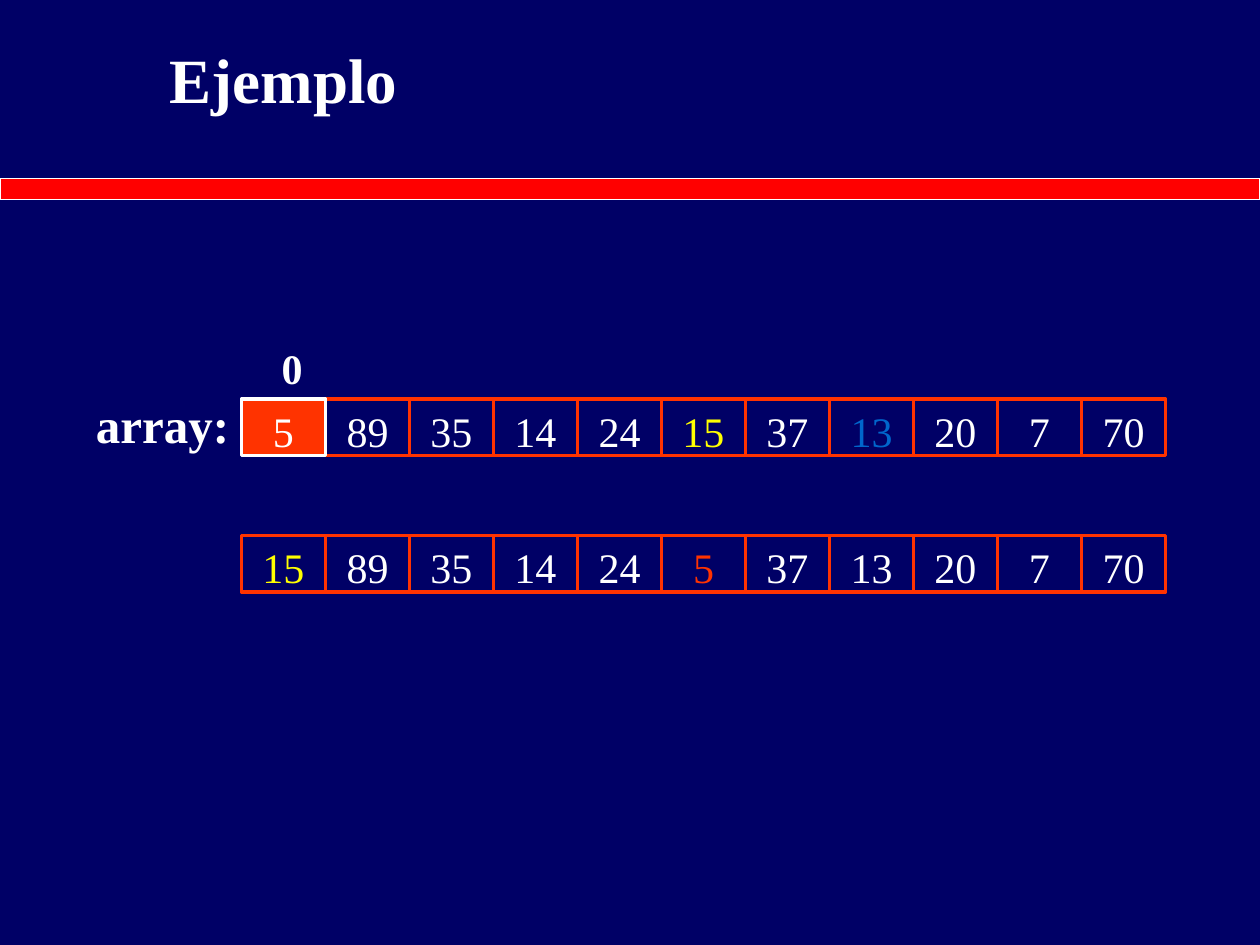
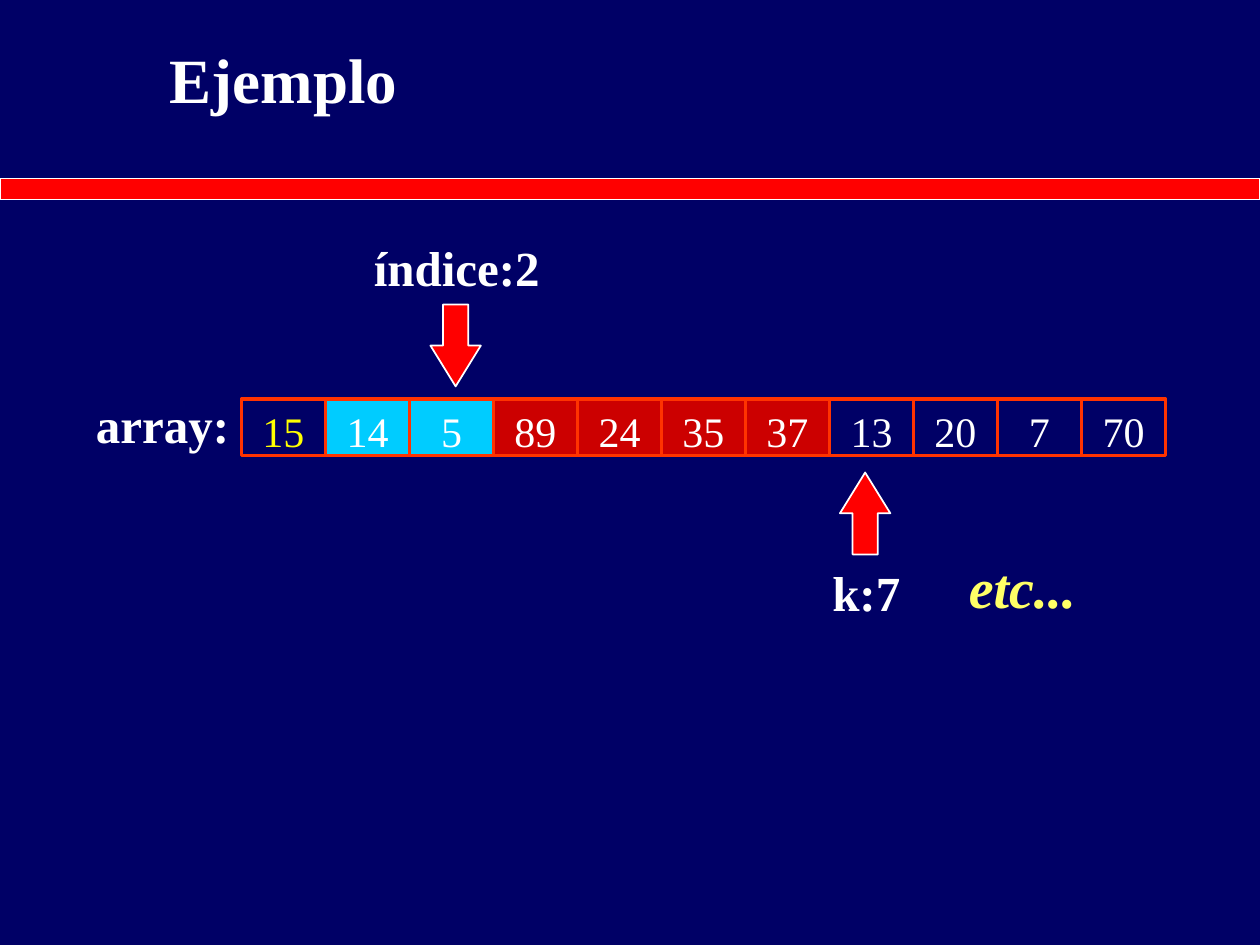
from pptx import Presentation
from pptx.dml.color import RGBColor
from pptx.enum.shapes import MSO_SHAPE
from pptx.enum.text import MSO_ANCHOR, MSO_AUTO_SIZE, PP_ALIGN
from pptx.util import Pt

NAVY = RGBColor(0x00, 0x00, 0x66)
WHITE = RGBColor(0xFF, 0xFF, 0xFF)
RED = RGBColor(0xFF, 0x00, 0x00)
ORANGE = RGBColor(0xFF, 0x33, 0x00)
DARK_RED = RGBColor(0xCC, 0x00, 0x00)
CYAN = RGBColor(0x00, 0xCC, 0xFF)
BLUE = RGBColor(0x00, 0x66, 0xCC)
YELLOW = RGBColor(0xFF, 0xFF, 0x00)
PALE_YELLOW = RGBColor(0xFF, 0xFF, 0x66)

RECTANGLE, UP_ARROW, DOWN_ARROW = MSO_SHAPE.RECTANGLE, MSO_SHAPE.UP_ARROW, MSO_SHAPE.DOWN_ARROW
LEFT, CENTER, RIGHT = PP_ALIGN.LEFT, PP_ALIGN.CENTER, PP_ALIGN.RIGHT
MIDDLE = MSO_ANCHOR.MIDDLE
GROW = MSO_AUTO_SIZE.SHAPE_TO_FIT_TEXT

FONT = "Times New Roman"
PAGE_WIDTH, PAGE_HEIGHT = 720, 540
CELL_WIDTH, CELL_HEIGHT = 48, 32.4
ROW_LEFT, ROW_TOP, RESULT_TOP = 138, 228, 306
ARROW_WIDTH, ARROW_HEIGHT = 28.8, 46.8
LABEL_HEIGHT = 41


def write(shape, text, size, color=WHITE, align=CENTER, bold=True, bottom=3.6, before=None):
    """Fill the shape with one styled paragraph; before defaults to a share of the size."""
    frame = shape.text_frame
    frame.text = text
    frame.word_wrap = True
    frame.auto_size = GROW
    frame.margin_left = frame.margin_right = Pt(7.2)
    frame.margin_top, frame.margin_bottom = Pt(3.6), Pt(bottom)
    para = frame.paragraphs[0]
    para.alignment = align
    para.space_before = Pt(size * 0.625 if before is None else before)
    font = para.runs[0].font
    font.name, font.size, font.bold = FONT, Pt(size), bold
    font.color.rgb = color
    return frame


def add_box(page, left, top, width, height):
    return page.shapes.add_textbox(Pt(left), Pt(top), Pt(width), Pt(height))


def add_figure(page, preset, left, top, width, height, fill, line, weight):
    shape = page.shapes.add_shape(preset, Pt(left), Pt(top), Pt(width), Pt(height))
    shape.shadow.inherit = False
    if fill is None:
        shape.fill.background()
    else:
        shape.fill.solid()
        shape.fill.fore_color.rgb = fill
    shape.line.color.rgb = line
    shape.line.width = Pt(weight)
    return shape


def add_page(deck, title):
    """Add a page with the shared background, band and title."""
    page = deck.slides.add_slide(deck.slide_layouts[6])
    page.background.fill.solid()
    page.background.fill.fore_color.rgb = NAVY
    add_figure(page, RECTANGLE, 0, 102, PAGE_WIDTH, 12, RED, WHITE, 1)
    frame = write(add_box(page, 90, 0, 612, 90), title, 36, align=LEFT, before=0)
    frame.auto_size = MSO_AUTO_SIZE.NONE
    frame.vertical_anchor = MIDDLE
    return page


def add_array(page, left, top, values, fills=None, colors=None, selected=None):
    """Draw a row of cells; fills and colors map indexes, the selected cell lies on top."""
    fills, colors = fills or {}, colors or {}
    for index in sorted(range(len(values)), key=lambda position: position == selected):
        cell = add_figure(page, RECTANGLE, left + index * CELL_WIDTH, top, CELL_WIDTH, CELL_HEIGHT,
                          fills.get(index), WHITE if index == selected else ORANGE, 2)
        write(cell, str(values[index]), 24, colors.get(index, WHITE), bold=False, bottom=0)


def add_array_label(page, left, top):
    """Name the array whose first cell starts at left, top."""
    write(add_box(page, left - 126, top - 6, 126, LABEL_HEIGHT), "array:", 28, align=RIGHT)


def add_pointer(page, left, top, text, preset):
    """Draw an arrow with its label at the tail end."""
    pointing_down = preset == DOWN_ARROW
    arrow_top, label_top = (top + 42, top) if pointing_down else (top, top + 48)
    arrow = add_figure(page, preset, left + 84, arrow_top, ARROW_WIDTH, ARROW_HEIGHT, RED, WHITE, 1)
    arrow.adjustments[0], arrow.adjustments[1] = 0.5, 0.81
    write(add_box(page, left, label_top, 198, LABEL_HEIGHT), text, 28)


def build_swap_page(deck):
    page = add_page(deck, "Ejemplo")
    add_array_label(page, ROW_LEFT, ROW_TOP)
    add_array(page, ROW_LEFT, ROW_TOP, [5, 89, 35, 14, 24, 15, 37, 13, 20, 7, 70],
              fills={0: ORANGE, 5: NAVY}, colors={5: YELLOW, 7: BLUE}, selected=0)
    add_array(page, ROW_LEFT, RESULT_TOP, [15, 89, 35, 14, 24, 5, 37, 13, 20, 7, 70],
              fills={0: NAVY}, colors={0: YELLOW, 5: ORANGE})
    write(add_box(page, 66, ROW_TOP - 36, 114, 36), "0", 24, align=RIGHT)


def build_partition_page(deck):
    page = add_page(deck, "Ejemplo")
    add_array_label(page, ROW_LEFT, ROW_TOP)
    smaller = dict.fromkeys(range(1, 3), CYAN)
    larger = dict.fromkeys(range(3, 7), DARK_RED)
    add_array(page, ROW_LEFT, ROW_TOP, [15, 14, 5, 89, 24, 35, 37, 13, 20, 7, 70],
              fills={0: NAVY, **smaller, **larger}, colors={0: YELLOW})
    add_pointer(page, 162, 132, "índice:2", DOWN_ARROW)
    add_pointer(page, 396, 270, "k:7", UP_ARROW)
    frame = write(add_box(page, 546.5, 312, 75.6, 42.5), "etc...", 32, PALE_YELLOW, LEFT, bottom=0)
    frame.word_wrap = False
    frame.paragraphs[0].runs[0].font.italic = True


def main():
    deck = Presentation()
    deck.slide_width, deck.slide_height = Pt(PAGE_WIDTH), Pt(PAGE_HEIGHT)
    build_swap_page(deck)
    build_partition_page(deck)
    deck.save("out.pptx")


if __name__ == "__main__":
    main()
